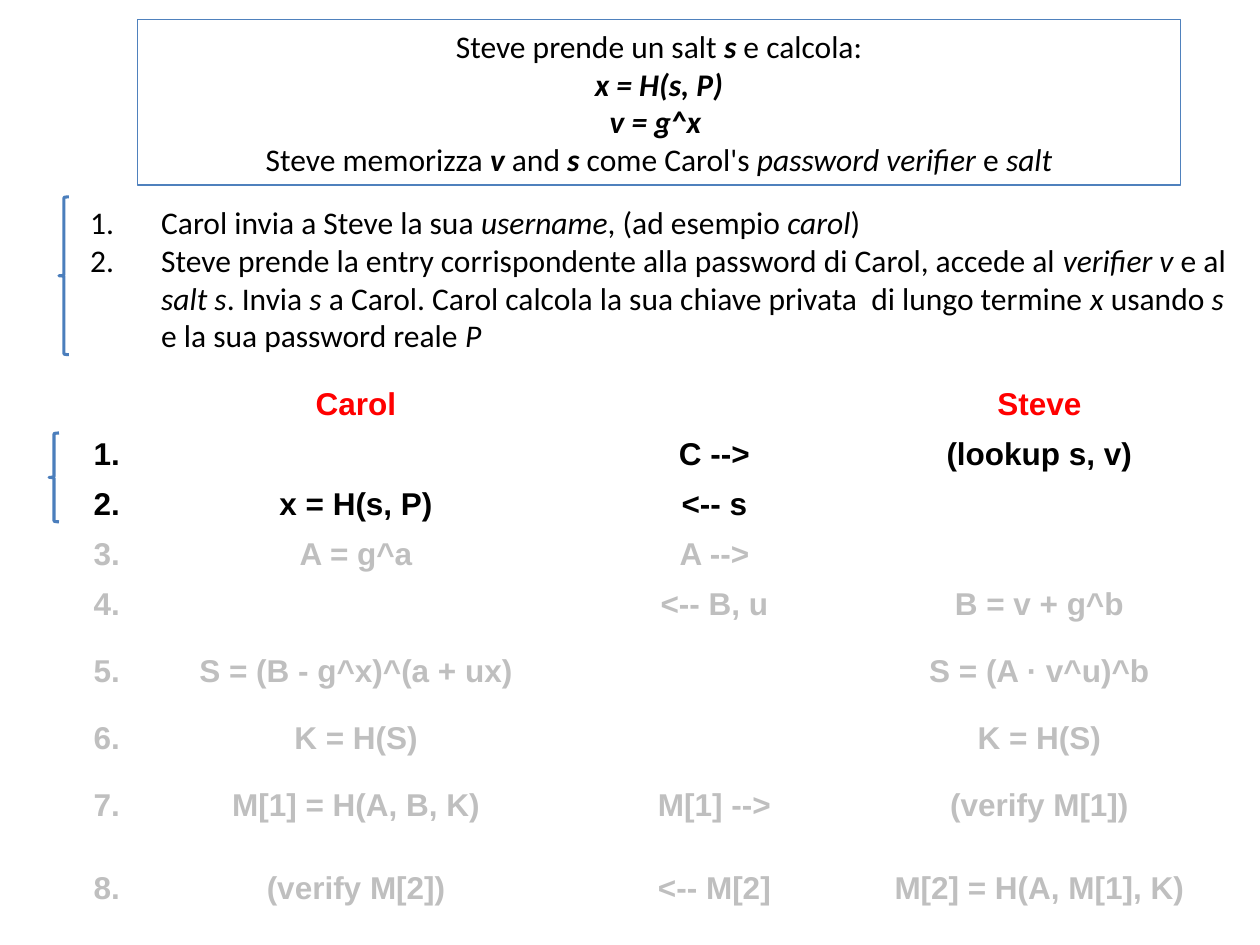
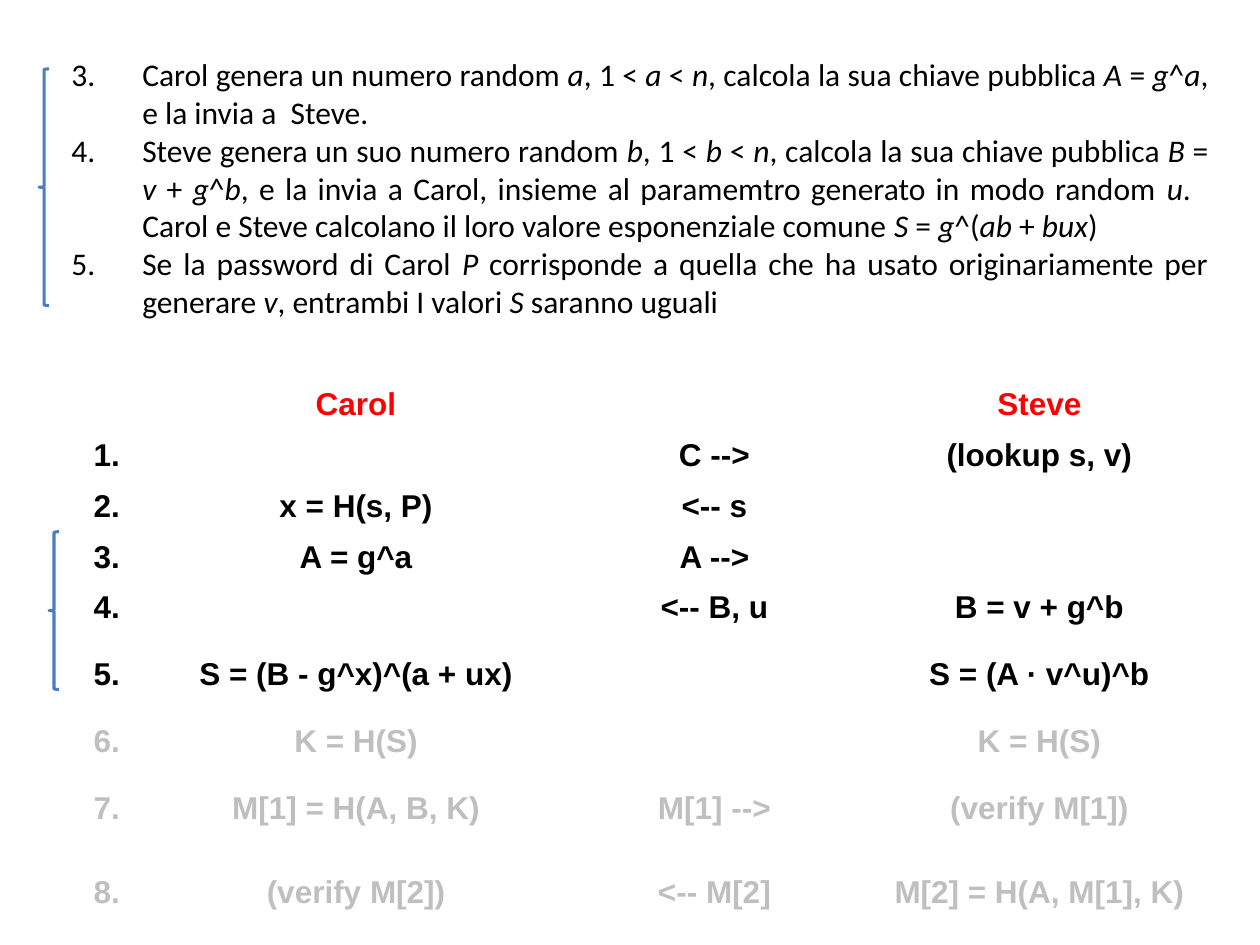
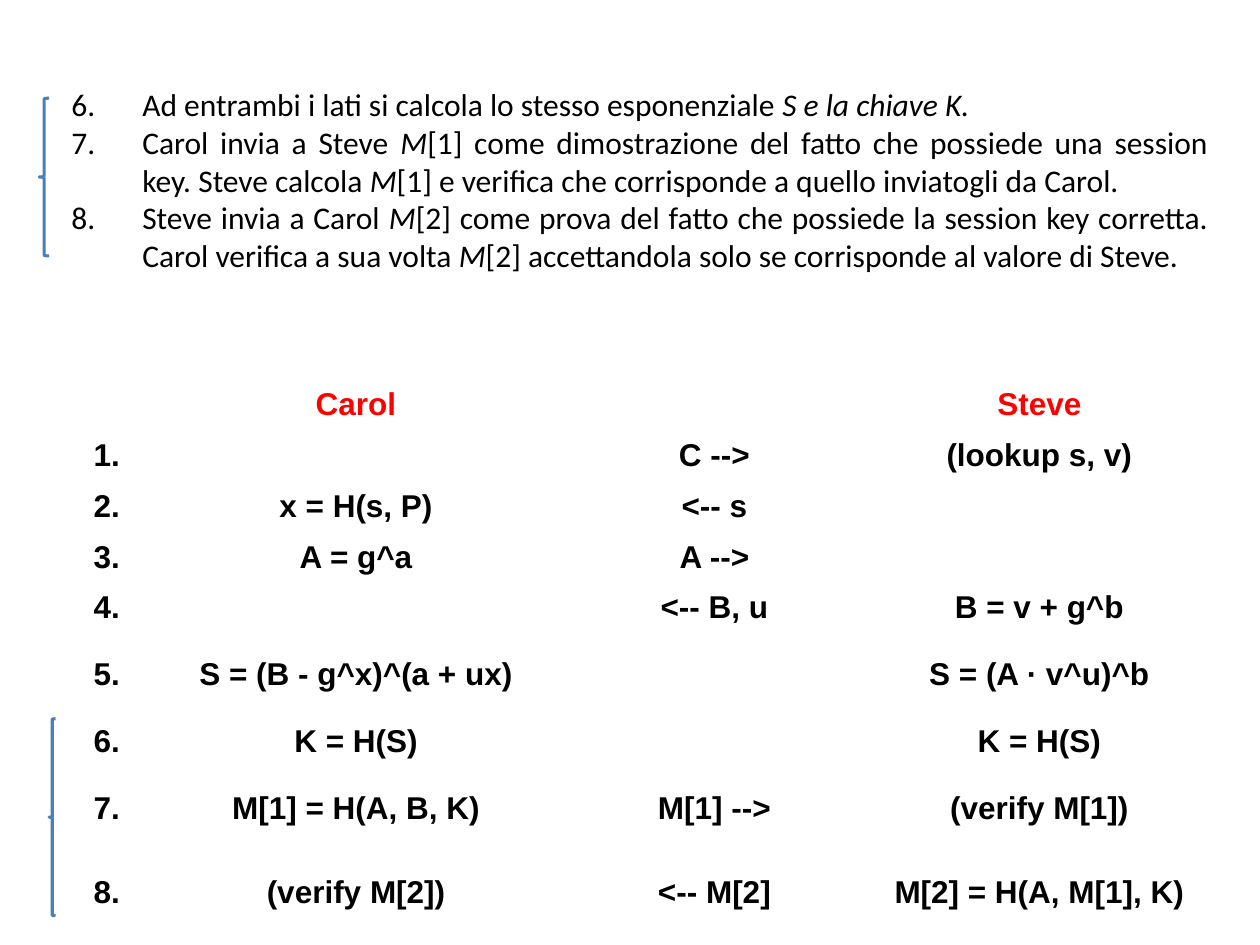
"""Builds three slides that walk through a password-based key exchange."""
from dataclasses import dataclass

from lxml import etree
from pptx import Presentation
from pptx.dml.color import RGBColor
from pptx.enum.shapes import MSO_SHAPE
from pptx.enum.text import MSO_ANCHOR, MSO_AUTO_SIZE, PP_ALIGN
from pptx.oxml.ns import qn
from pptx.util import Cm, Pt

LEFT, CENTER, RIGHT = PP_ALIGN.LEFT, PP_ALIGN.CENTER, PP_ALIGN.RIGHT
JUSTIFY = PP_ALIGN.JUSTIFY
MIDDLE = MSO_ANCHOR.MIDDLE
GROW = MSO_AUTO_SIZE.SHAPE_TO_FIT_TEXT
RECTANGLE, LEFT_BRACE = MSO_SHAPE.RECTANGLE, MSO_SHAPE.LEFT_BRACE
BLANK_LAYOUT = 6


@dataclass(frozen=True)
class Theme:
    """Fonts, type size, colours and line widths of all slides."""
    body_font: str = "Calibri"
    table_font: str = "Arial"
    size: float = 18
    text: RGBColor = RGBColor(0x00, 0x00, 0x00)
    heading: RGBColor = RGBColor(0xFF, 0x00, 0x00)
    pending: RGBColor = RGBColor(0xBF, 0xBF, 0xBF)
    frame: RGBColor = RGBColor(0x4F, 0x81, 0xBD)
    brace: RGBColor = RGBColor(0x4B, 0x7E, 0xBC)
    frame_width: float = 0.75
    brace_width: float = 1.75


COLUMN_WIDTHS = (1.42, 8.89, 5.56, 7.54)
LOW_ROW, HIGH_ROW = 1.01, 1.68
HIGH_STEPS = (5, 7, 8)
PROTOCOL = (
    ("Carol", "", "Steve"),
    ("", "C -->", "(lookup s, v)"),
    ("x = H(s, P)", "<-- s", ""),
    ("A = g^a", "A -->", ""),
    ("", "<-- B, u", "B = v + g^b"),
    ("S = (B - g^x)^(a + ux)", "", "S = (A · v^u)^b"),
    ("K = H(S)", "", "K = H(S)"),
    ("M[1] = H(A, B, K)", "M[1] -->", "(verify M[1])"),
    ("(verify M[2])", "<-- M[2]", "M[2] = H(A, M[1], K)"),
)

# In the texts below *...* is italic and *!...* is bold italic.
SETUP = (
    "Steve prende un salt *!s* e calcola:",
    "*!x = H(s, P)\nv = g^x *",
    "Steve memorizza *!v* and *!s* come Carol's *password verifier *e *salt*",
)
STEPS_1_2 = (
    "Carol invia a Steve la sua *username*, (ad esempio *carol*)",
    "Steve prende la entry corrispondente alla password di Carol, accede al "
    "*verifier v *e al *salt s*. Invia *s* a Carol. Carol calcola la sua chiave "
    "privata  di lungo termine *x *usando *s* e la sua password reale *P \u00a0*",
)
STEPS_3_5 = (
    "Carol genera un numero random *a*, 1 < *a* < *n*, calcola la sua chiave "
    "pubblica *A* = *g*^*a*, e la invia a  Steve. \u00a0 ",
    "Steve genera un suo numero random *b*, 1 < *b* < *n*, calcola la sua chiave "
    "pubblica *B* = *v* + *g*^*b*, e la invia a Carol, insieme al paramemtro "
    "generato in modo random *u*. \u00a0 Carol e Steve calcolano il loro valore "
    "esponenziale comune *S* = *g*^(*ab* + *bux*) ",
    "Se la password di Carol *P* corrisponde a quella che ha usato "
    "originariamente per generare *v*, entrambi I valori *S* saranno uguali \u00a0",
)
STEPS_6_8 = (
    "Ad entrambi i lati si calcola lo stesso esponenziale *S e la chiave K.*",
    "Carol invia a Steve *M*[1] come dimostrazione del fatto che possiede una "
    "session key. Steve calcola *M*[1] e verifica che corrisponde a quello "
    "inviatogli da Carol.",
    "Steve invia a Carol *M*[2] come prova del fatto che possiede la session key "
    "corretta. Carol verifica a sua volta *M*[2] accettandola solo se corrisponde "
    "al valore di Steve.",
)


def write(paragraph, text, *, font, size, color, align=LEFT, bold=False):
    """Fill a paragraph with marked-up text in the given format."""
    paragraph.alignment = align
    for index, part in enumerate(text.split("*")):
        italic = index % 2 == 1
        strong = bold or part.startswith("!")
        for number, line in enumerate(part.removeprefix("!").split("\n")):
            if number:
                paragraph.add_line_break()
            if line:
                run = paragraph.add_run()
                run.text = line
                run.font.name, run.font.size = font, Pt(size)
                run.font.bold, run.font.italic = strong, italic
                run.font.color.rgb = color


def number_paragraph(paragraph, start):
    """Give a paragraph a hanging automatic number."""
    properties = paragraph._p.get_or_add_pPr()
    properties.set("marL", str(Cm(1.43)))
    properties.set("indent", str(Cm(-1.43)))
    numbering = etree.SubElement(properties, qn("a:buAutoNum"))
    numbering.set("type", "arabicPeriod")
    numbering.set("startAt", str(start))


class Deck:
    """Holds the presentation, its theme and the current slide."""

    def __init__(self, theme):
        """Start an empty 4:3 presentation."""
        self.theme = theme
        self.presentation = Presentation()
        self.presentation.slide_width = Cm(25.4)
        self.presentation.slide_height = Cm(19.05)
        self.slide = None

    def add_slide(self):
        """Add a blank slide and make it the current one."""
        layout = self.presentation.slide_layouts[BLANK_LAYOUT]
        self.slide = self.presentation.slides.add_slide(layout)

    def add_outline(self, kind, left, top, width, height, color, line_width):
        """Add an unfilled preset shape and return it."""
        shape = self.slide.shapes.add_shape(
            kind, Cm(left), Cm(top), Cm(width), Cm(height))
        shape.shadow.inherit = False
        shape.fill.background()
        shape.line.color.rgb = color
        shape.line.width = Pt(line_width)
        return shape

    def add_brace(self, left, top, height, width=0.2):
        """Mark a group of steps with a left brace."""
        self.add_outline(LEFT_BRACE, left, top, width, height,
                         self.theme.brace, self.theme.brace_width)

    def write_paragraphs(self, frame, texts, align, start=None):
        """Write body paragraphs, numbered when a start is given."""
        frame.word_wrap = True
        frame.auto_size = GROW
        for index, text in enumerate(texts):
            paragraph = frame.add_paragraph() if index else frame.paragraphs[0]
            write(paragraph, text, font=self.theme.body_font,
                  size=self.theme.size, color=self.theme.text, align=align)
            if start:
                number_paragraph(paragraph, start)

    def add_framed_text(self, texts, left, top, width, height):
        """Add centred text in a thin frame."""
        shape = self.add_outline(RECTANGLE, left, top, width, height,
                                 self.theme.frame, self.theme.frame_width)
        self.write_paragraphs(shape.text_frame, texts, CENTER)

    def add_steps(self, texts, left, top, height, start, align=JUSTIFY):
        """Add a numbered list of protocol steps."""
        box = self.slide.shapes.add_textbox(
            Cm(left), Cm(top), Cm(23.42), Cm(height))
        self.write_paragraphs(box.text_frame, texts, align, start)

    def add_protocol(self, last_step):
        """Add the message table, greying the steps after last_step."""
        heights = [HIGH_ROW if step in HIGH_STEPS else LOW_ROW
                   for step in range(len(PROTOCOL))]
        table = self.slide.shapes.add_table(
            len(PROTOCOL), len(COLUMN_WIDTHS), Cm(1.4), Cm(7.65),
            Cm(sum(COLUMN_WIDTHS)), Cm(sum(heights))).table
        table.first_row = table.horz_banding = False
        for column, width in zip(table.columns, COLUMN_WIDTHS):
            column.width = Cm(width)
        for step, texts in enumerate(PROTOCOL):
            table.rows[step].height = Cm(heights[step])
            color = self.theme.text if step <= last_step else self.theme.pending
            if step == 0:
                color = self.theme.heading
            label = f"{step}." if step else ""
            for column, text in enumerate((label, *texts)):
                self.fill_cell(table.cell(step, column), text, color,
                               CENTER if column else RIGHT)

    def fill_cell(self, cell, text, color, align):
        """Format one table cell and write its text, if any."""
        cell.fill.background()
        cell.vertical_anchor = MIDDLE
        cell.margin_left = cell.margin_right = Cm(0.23)
        cell.margin_top = cell.margin_bottom = Cm(0.13 if text else 0)
        if text:
            write(cell.text_frame.paragraphs[0], text + " ", bold=True,
                  font=self.theme.table_font, size=self.theme.size,
                  color=color, align=align)


def build_lookup_slide(deck):
    """Setup and steps 1 to 2."""
    deck.add_slide()
    deck.add_protocol(last_step=2)
    deck.add_framed_text(SETUP, 2.77, 0.4, 21.03, 3.33)
    deck.add_steps(STEPS_1_2, 1.57, 3.97, 3.33, start=1, align=LEFT)
    deck.add_brace(0.99, 8.73, 1.79)
    deck.add_brace(1.19, 3.97, 3.18)


def build_exchange_slide(deck):
    """Steps 3 to 5."""
    deck.add_slide()
    deck.add_protocol(last_step=5)
    deck.add_steps(STEPS_3_5, 1.19, 0.99, 5.64, start=3)
    deck.add_brace(0.79, 1.39, 4.77)
    deck.add_brace(0.99, 10.72, 3.18)


def build_verification_slide(deck):
    """Steps 6 to 8."""
    deck.add_slide()
    deck.add_protocol(last_step=8)
    deck.add_steps(STEPS_6_8, 1.19, 1.59, 4.11, start=6)
    deck.add_brace(0.79, 1.98, 3.18)
    deck.add_brace(0.99, 14.49, 3.97, width=0.13)


def main():
    """Build and save the presentation."""
    deck = Deck(Theme())
    build_lookup_slide(deck)
    build_exchange_slide(deck)
    build_verification_slide(deck)
    deck.presentation.save("out.pptx")


main()
